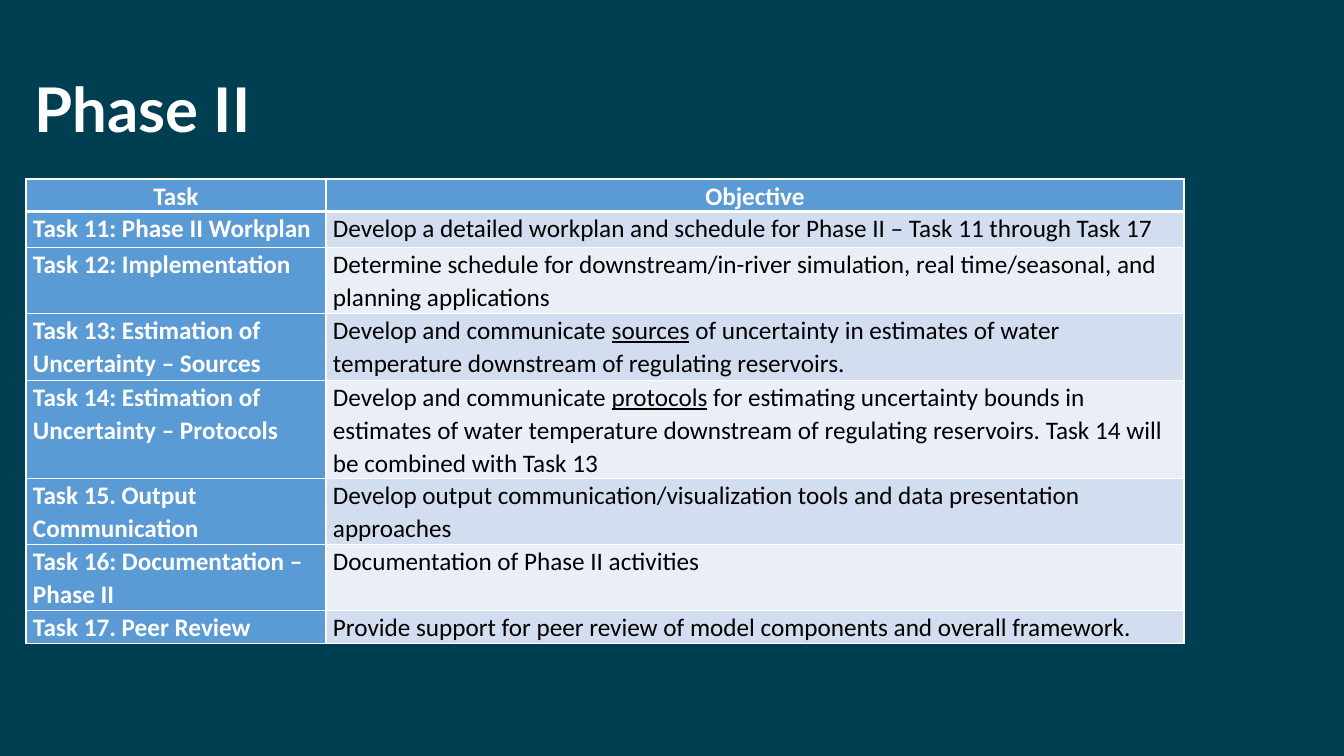
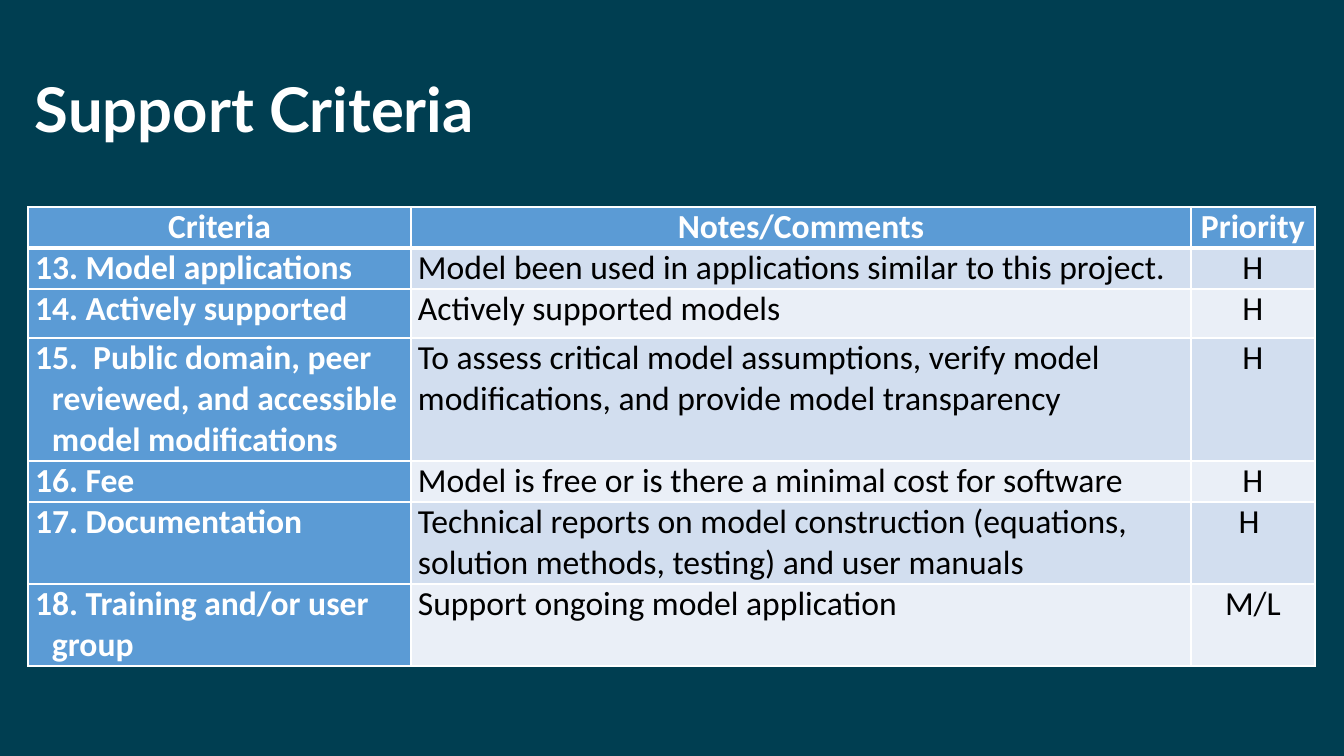
from dataclasses import dataclass

from lxml import etree
from pptx import Presentation
from pptx.dml.color import RGBColor
from pptx.enum.text import MSO_ANCHOR, PP_ALIGN
from pptx.oxml.ns import qn
from pptx.util import Pt

LEFT, CENTER = PP_ALIGN.LEFT, PP_ALIGN.CENTER
MIDDLE = MSO_ANCHOR.MIDDLE
EMU_PER_PX = 12192000 / 1344


@dataclass(frozen=True)
class Theme:
    background: str = "003E51"
    light: str = "FFFFFF"
    dark: str = "000000"
    label_fill: str = "5B9BD5"
    bands: tuple = ("D2DEEF", "EAEFF7")
    title_font: str = "Lato"
    table_font: str = "Calibri"
    title_size: int = 44
    task_size: int = 18
    criteria_size: int = 24
    thin: int = 1
    thick: int = 3


THEME = Theme()
SLIDE_SIZE = (1344, 756)
TITLE_BOX = (25, 40, 1290, 146)
CELL_INSET = 7

TASKS = [
    ("Task", "Objective"),
    ("Task 11: Phase II Workplan",
     "Develop a detailed workplan and schedule for Phase II – Task 11 through Task 17"),
    ("Task 12: Implementation",
     "Determine schedule for downstream/in-river simulation, real time/seasonal, "
     "and planning applications"),
    ("Task 13: Estimation of Uncertainty – Sources",
     "Develop and communicate _sources_ of uncertainty in estimates of water "
     "temperature downstream of regulating reservoirs."),
    ("Task 14: Estimation of Uncertainty – Protocols",
     "Develop and communicate _protocols_ for estimating uncertainty bounds in "
     "estimates of water temperature downstream of regulating reservoirs. "
     "Task 14 will be combined with Task 13"),
    ("Task 15. Output Communication",
     "Develop output communication/visualization tools and data presentation approaches"),
    ("Task 16: Documentation – Phase II", "Documentation of Phase II activities"),
    ("Task 17. Peer Review",
     "Provide support for peer review of model components and overall framework."),
]

CRITERIA = [
    ("Criteria", "Notes/Comments", "Priority"),
    ("13. Model applications",
     "Model been used in applications similar to this project.", "H"),
    ("14. Actively supported", "Actively supported models", "H"),
    ("15.  Public domain, peer reviewed, and accessible model modifications",
     "To assess critical model assumptions, verify model modifications, "
     "and provide model transparency", "H"),
    ("16. Fee", "Model is free or is there a minimal cost for software", "H"),
    ("17. Documentation",
     "Technical reports on model construction (equations, solution methods, "
     "testing) and user manuals", "H "),
    ("18. Training and/or user group", "Support ongoing model application", "M/L"),
]


def px(length):
    return round(length * EMU_PER_PX)


def rgb(color):
    return RGBColor.from_string(color)


def write_text(frame, text, *, font, size, color, bold=False, align=LEFT,
               line_spacing=None, space_after=None, hanging=0):
    """Fill the frame with one paragraph; words between underscores are underlined."""
    frame.word_wrap = True
    paragraph = frame.paragraphs[0]
    paragraph.alignment = align
    if line_spacing:
        paragraph.line_spacing = line_spacing
    if space_after:
        paragraph.space_after = Pt(space_after)
    if hanging:
        properties = paragraph._p.get_or_add_pPr()
        properties.set("marL", str(px(hanging)))
        properties.set("indent", str(-px(hanging)))
    for index, part in enumerate(text.split("_")):
        run = paragraph.add_run()
        run.text = part
        run.font.name = font
        run.font.size = Pt(size)
        run.font.bold = bold
        run.font.color.rgb = rgb(color)
        if index % 2:
            run.font.underline = True


def add_borders(cell, top, bottom):
    properties = cell._tc.get_or_add_tcPr()
    widths = {"lnL": THEME.thin, "lnR": THEME.thin, "lnT": top, "lnB": bottom}
    for side, width in widths.items():
        line = etree.SubElement(properties, qn(f"a:{side}"), w=str(Pt(width)))
        fill = etree.SubElement(line, qn("a:solidFill"))
        etree.SubElement(fill, qn("a:srgbClr"), val=THEME.light)


def add_titled_slide(deck, title):
    slide = deck.slides.add_slide(deck.slide_layouts[6])
    slide.background.fill.solid()
    slide.background.fill.fore_color.rgb = rgb(THEME.background)
    frame = slide.shapes.add_textbox(*map(px, TITLE_BOX)).text_frame
    frame.vertical_anchor = MIDDLE
    write_text(frame, title, font=THEME.title_font, size=THEME.title_size,
               color=THEME.light, bold=True, line_spacing=0.9)
    return slide


def add_banded_table(slide, origin, widths, heights, rows, *, size,
                     centered_columns=(), label_hanging=0, **paragraph_format):
    """Draw a table with a header row, a label column and alternating bands."""
    box = (*origin, sum(widths), sum(heights))
    table = slide.shapes.add_table(len(rows), len(widths), *map(px, box)).table
    table.horz_banding = False
    for column, width in zip(table.columns, widths):
        column.width = px(width)
    for row, height in zip(table.rows, heights):
        row.height = px(height)

    for r, texts in enumerate(rows):
        for c, text in enumerate(texts):
            cell = table.cell(r, c)
            header = r == 0
            label = header or c == 0
            add_borders(cell, top=THEME.thick if r == 1 else THEME.thin,
                        bottom=THEME.thick if header else THEME.thin)
            cell.fill.solid()
            cell.fill.fore_color.rgb = rgb(
                THEME.label_fill if label else THEME.bands[(r - 1) % 2])
            cell.margin_left = cell.margin_right = px(CELL_INSET)
            cell.margin_top = cell.margin_bottom = 0
            write_text(cell.text_frame, text, font=THEME.table_font, size=size,
                       color=THEME.light if label else THEME.dark, bold=label,
                       align=CENTER if header or c in centered_columns else LEFT,
                       hanging=label_hanging if c == 0 and not header else 0,
                       **paragraph_format)


def build_phase_slide(deck):
    slide = add_titled_slide(deck, "Phase II")
    add_banded_table(slide, (26, 179), (300, 858),
                     (32, 36, 66, 67, 98, 66, 66, 33), TASKS,
                     size=THEME.task_size, line_spacing=1.07)


def build_criteria_slide(deck):
    slide = add_titled_slide(deck, "Support Criteria")
    add_banded_table(slide, (28, 207), (383, 780, 124),
                     (41, 41, 49, 123, 41, 82, 82), CRITERIA,
                     size=THEME.criteria_size, centered_columns=(2,),
                     label_hanging=17, space_after=6)


def main():
    deck = Presentation()
    deck.slide_width, deck.slide_height = map(px, SLIDE_SIZE)
    build_phase_slide(deck)
    build_criteria_slide(deck)
    deck.save("out.pptx")


if __name__ == "__main__":
    main()
